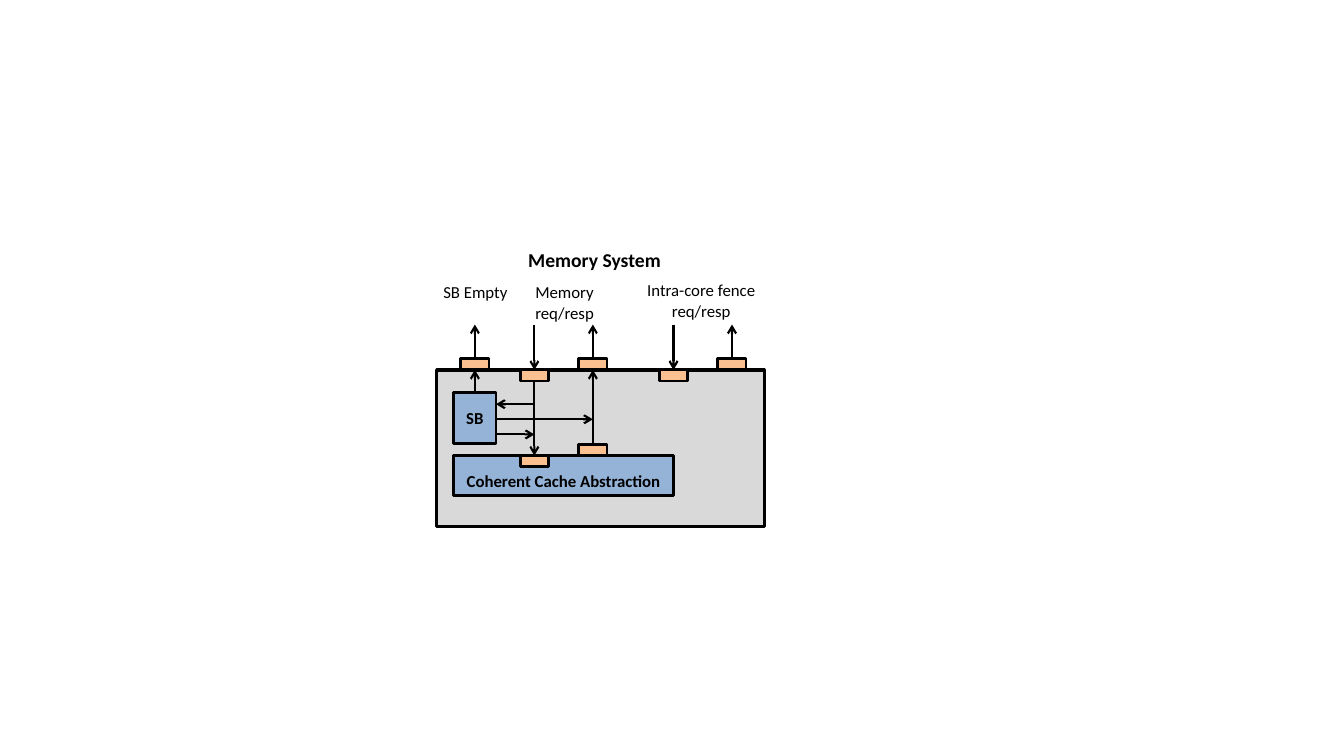
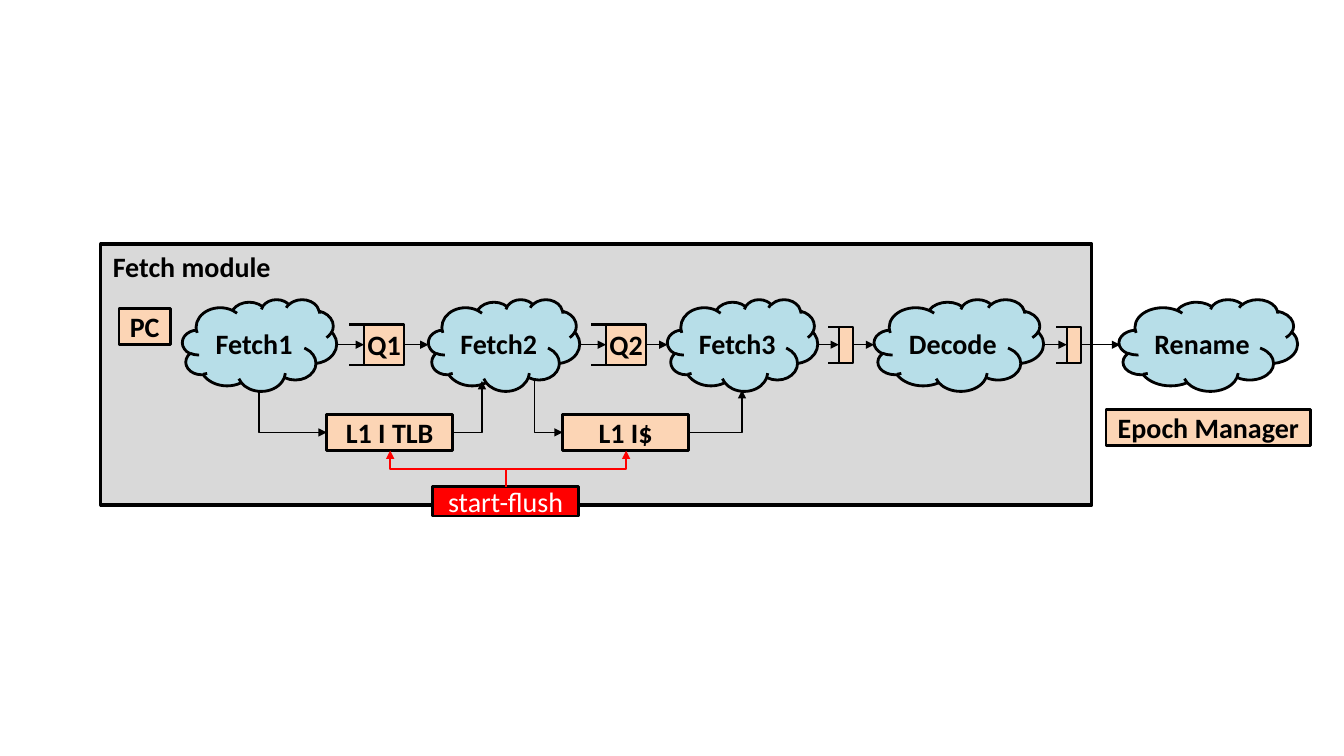
"""Build two processor diagrams: a memory system and a fetch module."""
from lxml import etree
from pptx import Presentation, util as u
from pptx.dml.color import RGBColor
from pptx.enum import shapes, text
from pptx.oxml import ns

BLACK, WHITE, RED, GREY = "000000", "FFFFFF", "FF0000", "D9D9D9"
PORT, BLOCK, STORE, STAGE = "FAC090", "95B3D7", "FCD5B5", "B7DEE8"
color = RGBColor.from_string
RECT, CLOUD = shapes.MSO_SHAPE.RECTANGLE, shapes.MSO_SHAPE.CLOUD
MIDDLE, BOTTOM = text.MSO_ANCHOR.MIDDLE, text.MSO_ANCHOR.BOTTOM
LEFT, CENTER = text.PP_ALIGN.LEFT, text.PP_ALIGN.CENTER


def add_box(canvas, place, words="", fill=None, line=2, size=20, bold=True, ink=BLACK,
            form=RECT, anchor=MIDDLE, align=CENTER, wrap=True):
    """Add a filled shape, or a plain text box when no fill is given."""
    frame = [u.Inches(length) for length in place]
    if fill:
        shape = canvas.add_shape(form, *frame)
        shape.shadow.inherit = False
        shape.fill.solid()
        shape.fill.fore_color.rgb = color(fill)
        shape.line.color.rgb = color(BLACK)
        shape.line.width = u.Pt(line)
        shape.text_frame.margin_left = shape.text_frame.margin_right = u.Inches(0.05)
        shape.text_frame.vertical_anchor = anchor
    else:
        shape = canvas.add_textbox(*frame)
    shape.text_frame.word_wrap = wrap
    if words:
        paragraph = shape.text_frame.paragraphs[0]
        paragraph.alignment = align
        run = paragraph.add_run()
        run.text = words
        run.font.name, run.font.size, run.font.bold = "Calibri", u.Pt(size), bold
        run.font.color.rgb = color(ink)


def add_line(canvas, start, end, head=None, width=1.5, ink=BLACK, bend=None, upright=False):
    """Add a straight or bent line; an upright bend leaves its start vertically."""
    if upright:
        middle_x, middle_y = (start[0] + end[0]) / 2, (start[1] + end[1]) / 2
        start, end = [(middle_x - (y - middle_y), middle_y + (x - middle_x))
                      for x, y in (start, end)]
    kind = shapes.MSO_CONNECTOR.ELBOW if bend else shapes.MSO_CONNECTOR.STRAIGHT
    connector = canvas.add_connector(kind, *[u.Inches(length) for length in (*start, *end)])
    connector.line.color.rgb = color(ink)
    connector.line.width = u.Pt(width)
    properties = connector._element.spPr
    if bend:
        properties.find(ns.qn("a:prstGeom")).set("prst", bend)
    if upright:
        properties.find(ns.qn("a:xfrm")).set("rot", "16200000")
    if head:
        etree.SubElement(properties.find(ns.qn("a:ln")), ns.qn("a:tailEnd"), type=head)
    etree.SubElement(properties, ns.qn("a:effectLst"))


presentation = Presentation()
presentation.slide_width, presentation.slide_height = u.Inches(13.33), u.Inches(7.5)
blank = presentation.slide_layouts[6]

memory = presentation.slides.add_slide(blank).shapes
roof, cache_top, signal_top = 3.67, 4.52, 3.22
port_width, port_height = 0.28, 0.11
empty, request, response, fence_request, fence_response = 4.71, 5.3, 5.88, 6.68, 7.26
add_box(memory, (4.33, roof, 3.25, 1.55), fill=GREY, line=2.25)
add_box(memory, (4.5, 3.89, 0.42, 0.51), "SB", BLOCK, size=12)
add_box(memory, (4.5, cache_top, 2.18, 0.4), "Coherent Cache Abstraction", BLOCK,
        size=12, anchor=BOTTOM)

for column, edge, outward in [
        (empty, roof, True), (request, roof, False), (response, roof, True),
        (fence_request, roof, False), (fence_response, roof, True),
        (request, cache_top, False), (response, cache_top, True)]:
    port_top = edge - port_height if outward else edge
    add_box(memory, (column - port_width / 2, port_top, port_width, port_height), fill=PORT)
    if edge == roof:
        outer, inner = (column, signal_top), (column, edge)
        if outward:
            add_line(memory, (column, port_top), outer, "arrow")
        else:
            add_line(memory, outer, inner, "arrow")

for start, end in [
        ((response, cache_top - port_height), (response, roof)),
        ((request, roof + port_height), (request, cache_top)),
        ((request, 4.01), (4.92, 4.01)), ((4.92, 4.16), (response, 4.16)),
        ((4.92, 4.31), (request, 4.31)), ((empty, 3.89), (empty, roof))]:
    add_line(memory, start, end, "arrow")

for place, words in [
        ((4.27, 2.75, 0.89, 0.3), "SB Empty"),
        ((5.06, 2.75, 1.08, 0.5), "Memory req/resp"),
        ((6.08, 2.73, 1.75, 0.5), "Intra-core fence req/resp")]:
    add_box(memory, place, words, size=12, bold=False)
add_box(memory, (5.14, 2.41, 1.53, 0.34), "Memory System", size=14, align=LEFT, wrap=False)

fetch = presentation.slides.add_slide(blank).shapes.add_group_shape().shapes
axis, cache_axis, cell_height = 3.42, 4.29, 0.36
cache_bottom = cache_axis + cell_height / 2
add_box(fetch, (1, 2.42, 9.83, 2.59), fill=GREY, line=2.25)
add_box(fetch, (1.02, 2.43, 1.78, 0.44), "Fetch module", align=LEFT, wrap=False)

for left, width, words in [
        (1.81, 1.53, "Fetch1"), (4.25, 1.5, "Fetch2"), (6.62, 1.49, "Fetch3"),
        (8.67, 1.68, "Decode"), (11.1, 1.77, "Rename")]:
    add_box(fetch, (left, 2.97, width, 0.91), words, STAGE, form=CLOUD)

for left, top, width, words in [
        (1.18, 3.06, 0.51, "PC"), (3.24, 4.11, 1.25, "L1 I TLB"),
        (5.58, 4.11, 1.25, "L1 I$"), (10.97, 4.06, 2.03, "Epoch Manager")]:
    add_box(fetch, (left, top, width, cell_height), words, STORE)

for left, width, height, rail, before, after, words in [
        (3.61, 0.4, 0.4, 0.15, 3.33, 4.25, "Q1"),
        (6.01, 0.4, 0.4, 0.15, 5.75, 6.62, "Q2"),
        (8.32, 0.14, 0.36, 0.11, 8.1, 8.67, ""),
        (10.58, 0.14, 0.36, 0.11, 10.35, 11.11, "")]:
    add_box(fetch, (left, axis - height / 2, width, height), fill=STORE, line=1.5)
    for level in (axis - height / 2, axis + height / 2):
        add_line(fetch, (left + width / 2, level), (left - rail, level))
    add_line(fetch, (before, axis), (left, axis), "triangle", 1)
    add_line(fetch, (left + width, axis), (after, axis), "triangle", 1)
    if words:
        add_box(fetch, (left - 0.07, 3.2, 0.54, 0.44), words, wrap=False)

for start, end, upright in [
        ((2.57, 3.87), (3.24, cache_axis), True), ((4.5, cache_axis), (4.78, 3.78), False),
        ((5.3, 3.78), (5.58, cache_axis), True), ((6.83, cache_axis), (7.36, 3.87), False)]:
    add_line(fetch, start, end, "triangle", 1, bend="bentConnector2", upright=upright)

add_box(fetch, (4.29, 4.83, 1.45, 0.29), "start-flush", RED, bold=False, ink=WHITE)
for target in (3.87, 6.21):
    add_line(fetch, (5.02, 4.83), (target, cache_bottom), "triangle", ink=RED,
             bend="bentConnector3", upright=True)

presentation.save("out.pptx")
